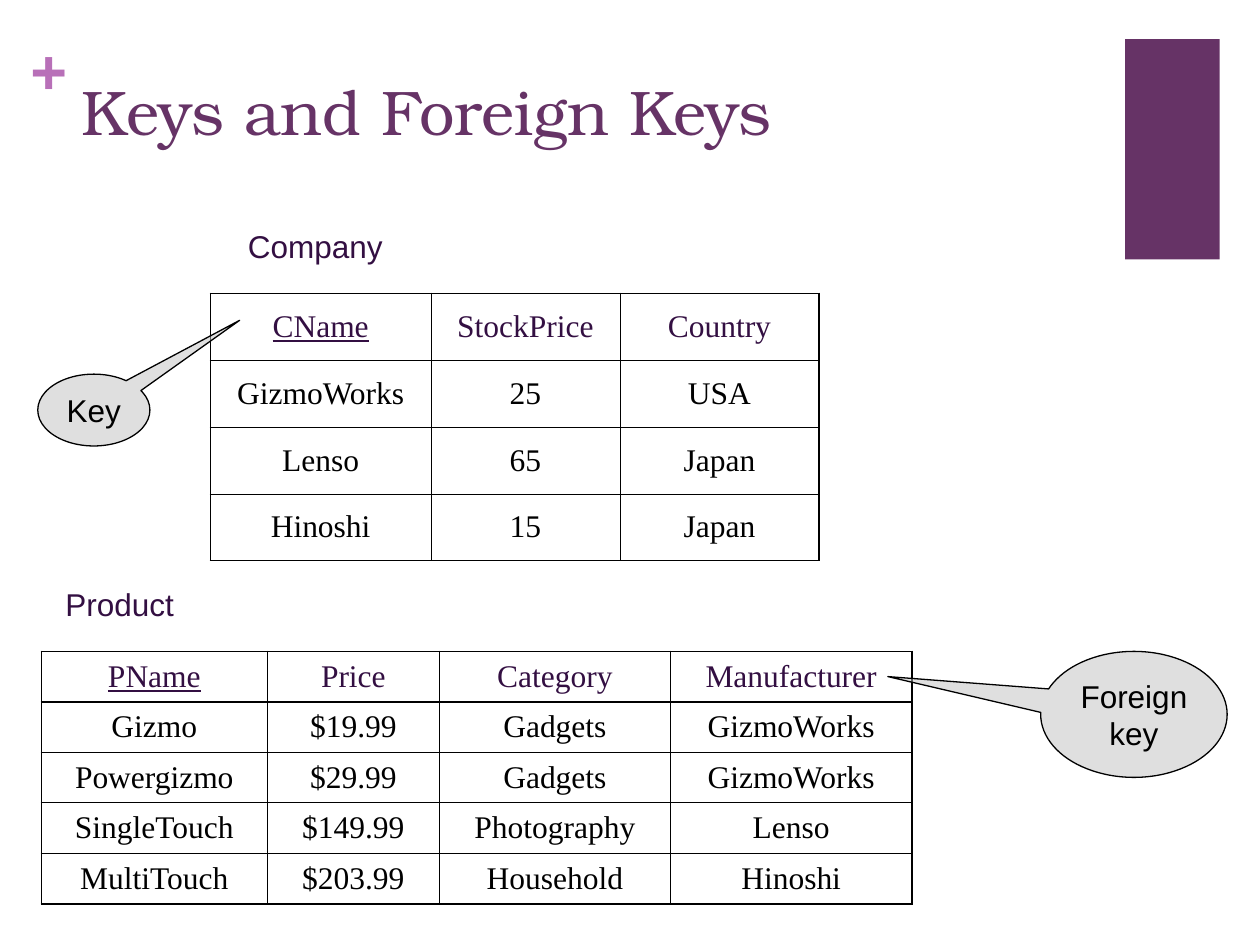
import pptx
import pptx.util
import pptx.dml.color
import pptx.enum.shapes
import pptx.enum.text
import pptx.oxml
import pptx.oxml.ns
from lxml import etree

Inches = pptx.util.Inches
Pt = pptx.util.Pt
RGB = pptx.dml.color.RGBColor.from_string
SHAPE = pptx.enum.shapes.MSO_SHAPE
ANCHOR = pptx.enum.text.MSO_ANCHOR
CENTER = pptx.enum.text.PP_ALIGN.CENTER
qn = pptx.oxml.ns.qn

COLORS = {"plum": "663366", "orchid": "B870B8", "heading": "330F42",
          "black": "000000", "white": "FFFFFF", "gray": "C0C0C0"}


def add_run(p, text, size, font, color):
    r = p.add_run()
    r.text = text
    r.font.size = Pt(size)
    r.font.name = font
    r.font.color.rgb = RGB(COLORS[color])
    return r


def add_border(cell, side, width):
    ln = etree.SubElement(cell._tc.get_or_add_tcPr(), qn("a:ln" + side), w=str(Pt(width)))
    fill = etree.SubElement(ln, qn("a:solidFill"))
    etree.SubElement(fill, qn("a:srgbClr"), val=COLORS["black"])


prs = pptx.Presentation()
prs.slide_width, prs.slide_height = Inches(10), Inches(7.5)
s = prs.slides.add_slide(prs.slide_layouts[6])

sp = s.shapes.add_shape(SHAPE.RECTANGLE, Inches(8.93), Inches(0.31), Inches(0.75), Inches(1.75))
sp.shadow.inherit = False
sp.fill.solid()
sp.fill.fore_color.rgb = RGB(COLORS["plum"])
sp.line.fill.background()

labels = [
    ("+", 0.24, 0.25, 0.28, 0.6, 36, "Arial", "orchid", True, 0, True),
    ("Keys and Foreign Keys", 0.55, 0.53, 8.26, 1.22, 36, "TeX Gyre Bonum", "plum", False, 0.1, True),
    ("Product", 0.42, 4.59, 1.06, 0.4, 18, "Arial", "heading", False, 0.1, False),
    ("Company", 1.87, 1.75, 1.27, 0.4, 18, "Arial", "heading", False, 0.1, False),
]
for text, x, y, w, h, size, font, color, bold, inset, wrap in labels:
    tf = s.shapes.add_textbox(Inches(x), Inches(y), Inches(w), Inches(h)).text_frame
    tf.word_wrap = wrap
    tf.margin_left = tf.margin_right = Inches(inset)
    tf.margin_top = tf.margin_bottom = Inches(inset / 2)
    r = add_run(tf.paragraphs[0], text, size, font, color)
    r.font.bold = bold

tables = [
    (0.33, 5.17, 0.4, [1.79, 1.37, 1.83, 1.92], False, [
        ["PName", "Price", "Category", "Manufacturer"],
        ["Gizmo", "$19.99", "Gadgets", "GizmoWorks"],
        ["Powergizmo", "$29.99", "Gadgets", "GizmoWorks"],
        ["SingleTouch", "$149.99", "Photography", "Lenso"],
        ["MultiTouch", "$203.99", "Household", "Hinoshi"],
    ]),
    (1.67, 2.33, 0.53, [1.75, 1.5, 1.58], True, [
        ["CName", "StockPrice", "Country"],
        ["GizmoWorks", "25", "USA"],
        ["Lenso", "65", "Japan"],
        ["Hinoshi", "15", "Japan"],
    ]),
]
for x, y, row_h, widths, filled, rows in tables:
    table = s.shapes.add_table(len(rows), len(widths), Inches(x), Inches(y),
                               Inches(sum(widths)), Inches(row_h * len(rows))).table
    table.first_row = table.horz_banding = False
    for column, width in zip(table.columns, widths):
        column.width = Inches(width)
    last_row, last_col = len(rows) - 1, len(widths) - 1
    for i, row in enumerate(rows):
        table.rows[i].height = Inches(row_h)
        for j, text in enumerate(row):
            cell = table.cell(i, j)
            thick = {"L": j == 0, "R": j == last_col, "T": i <= 1, "B": i in (0, last_row)}
            for side, is_thick in thick.items():
                add_border(cell, side, 1.08 if is_thick else 0.45)
            if filled:
                cell.fill.solid()
                cell.fill.fore_color.rgb = RGB(COLORS["white"])
            else:
                cell.fill.background()
            cell.vertical_anchor = ANCHOR.MIDDLE
            p = cell.text_frame.paragraphs[0]
            p.alignment = CENTER
            r = add_run(p, text, 18, "Times New Roman", "black" if i else "heading")
            r.font.underline = i == 0 and j == 0

callouts = [
    (["Key"], 0.3, 2.97, 0.89, 0.57, 1.3, -1.25),
    (["Foreign", "key"], 8.26, 5.17, 1.48, 1, -1.32, -0.3),
]
for lines, x, y, w, h, tip_x, tip_y in callouts:
    sp = s.shapes.add_shape(SHAPE.OVAL_CALLOUT, Inches(x), Inches(y), Inches(w), Inches(h))
    sp.adjustments[0], sp.adjustments[1] = tip_x, tip_y
    sp.shadow.inherit = False
    sp.fill.solid()
    sp.fill.fore_color.rgb = RGB(COLORS["gray"])
    clr = sp._element.spPr.find(qn("a:solidFill")).find(qn("a:srgbClr"))
    etree.SubElement(clr, qn("a:alpha"), val="50000")
    sp.line.color.rgb = RGB(COLORS["black"])
    sp.line.width = Pt(0.75)
    tf = sp.text_frame
    tf.word_wrap = False
    tf.vertical_anchor = ANCHOR.MIDDLE
    p = tf.paragraphs[0]
    p.alignment = CENTER
    for n, line in enumerate(lines):
        if n:
            p.add_line_break()
        add_run(p, line, 18, "Arial", "black")

prs.save("out.pptx")
